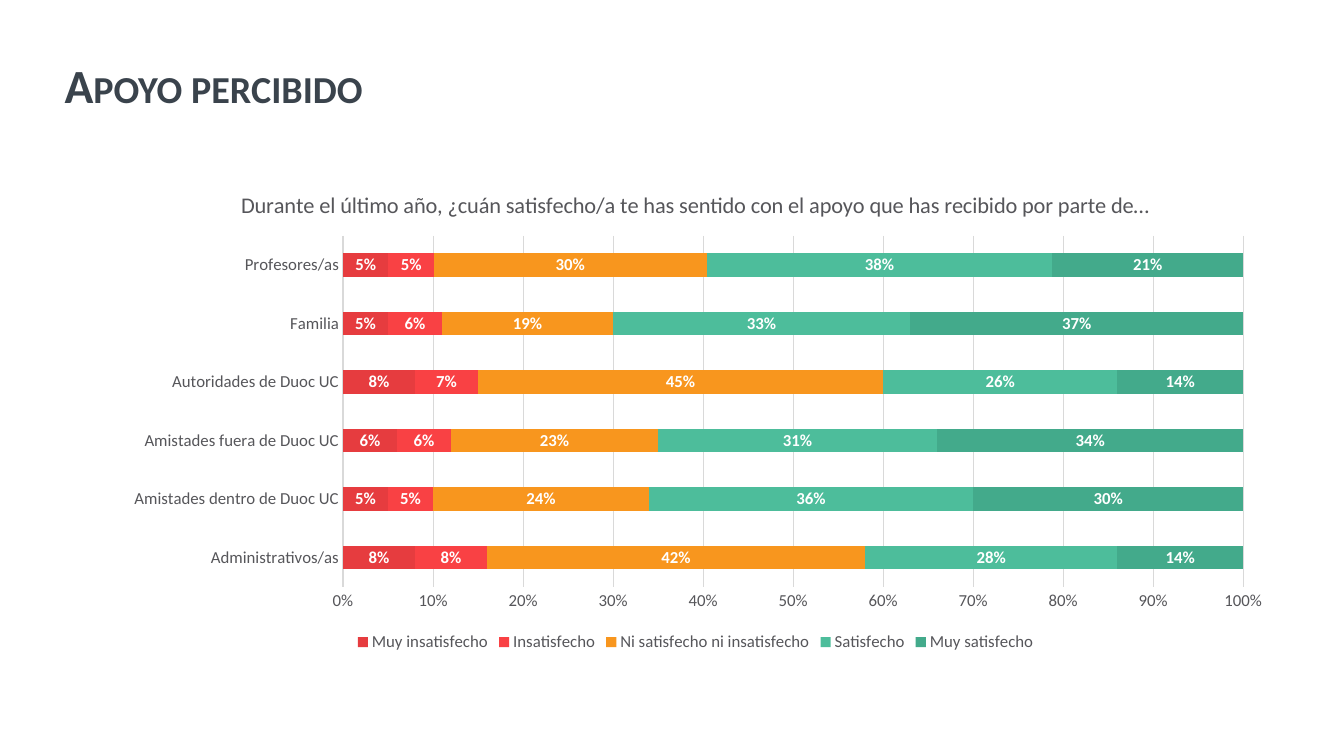
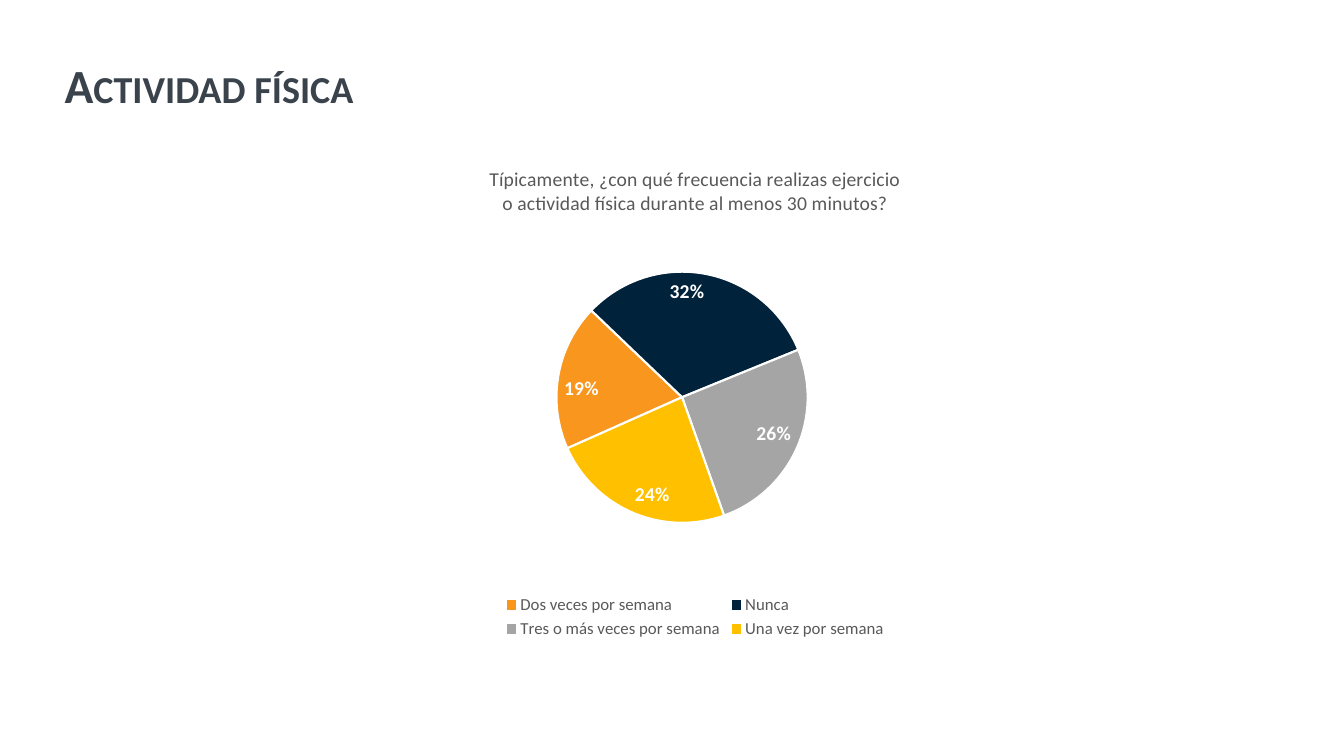
from pptx import Presentation
from pptx.chart.data import CategoryChartData
from pptx.dml.color import RGBColor
from pptx.enum.chart import (
    XL_CHART_TYPE as ChartType,
    XL_LABEL_POSITION as LabelPosition,
    XL_LEGEND_POSITION as LegendPosition,
    XL_TICK_MARK as TickMark,
)
from pptx.enum.text import MSO_ANCHOR as Anchor, MSO_AUTO_SIZE as AutoSize, PP_ALIGN as Align
from pptx.oxml import parse_xml
from pptx.oxml.ns import nsdecls, qn
from pptx.util import Inches, Pt

FONT = "Calibri"
COLORS = {
    "title": "3A434C",
    "text": "56565A",
    "pie_text": "595959",
    "grid": "D9D9D9",
    "white": "FFFFFF",
    "dark_red": "E63C3F",
    "red": "F94144",
    "orange": "F8961E",
    "green": "4DBD9B",
    "dark_green": "43AA8B",
    "navy": "00223A",
    "gray": "A5A5A5",
    "yellow": "FFC000",
}

SOURCES = [
    "Administrativos/as",
    "Amistades dentro de Duoc UC",
    "Amistades fuera de Duoc UC",
    "Autoridades de Duoc UC",
    "Familia",
    "Profesores/as",
]
SATISFACTION = [
    ("Muy insatisfecho", "dark_red", (0.08, 0.05, 0.06, 0.08, 0.05, 0.05)),
    ("Insatisfecho", "red", (0.08, 0.05, 0.06, 0.07, 0.06, 0.05)),
    ("Ni satisfecho ni insatisfecho", "orange", (0.42, 0.24, 0.23, 0.45, 0.19, 0.3)),
    ("Satisfecho", "green", (0.28, 0.36, 0.31, 0.26, 0.33, 0.38)),
    ("Muy satisfecho", "dark_green", (0.14, 0.3, 0.34, 0.14, 0.37, 0.21)),
]
EXERCISE = [
    ("Dos veces por semana", "orange", 0.19),
    ("Nunca", "navy", 0.32),
    ("Tres o más veces por semana", "gray", 0.26),
    ("Una vez por semana", "yellow", 0.24),
]


def rgb(name):
    return RGBColor.from_string(COLORS[name])


def style_font(font, size, color, bold=False):
    font.name = FONT
    font.size = Pt(size)
    font.bold = bold
    font.color.rgb = rgb(color)


def write_text(frame, text, size=12, color="text", bold=False, align=None,
               line_spacing=None, small_caps=False):
    frame.text = text
    paragraph = frame.paragraphs[0]
    if align is not None:
        paragraph.alignment = align
    if line_spacing is not None:
        paragraph.line_spacing = line_spacing
    run = paragraph.runs[0]
    style_font(run.font, size, color, bold)
    if small_caps:
        run._r.get_or_add_rPr().set("cap", "small")


def paint(fill, color):
    fill.solid()
    fill.fore_color.rgb = rgb(color)


def set_line(line, color, width):
    line.color.rgb = rgb(color)
    line.width = Pt(width)


def place_plot(chart, **shares):
    plot_area = chart._chartSpace.chart.plotArea
    for layout in plot_area.findall(qn("c:layout")):
        plot_area.remove(layout)
    sizes = "".join(f'<c:{key} val="{value}"/>' for key, value in shares.items())
    plot_area.insert(0, parse_xml(
        f'<c:layout {nsdecls("c")}><c:manualLayout><c:layoutTarget val="inner"/>'
        f'<c:xMode val="edge"/><c:yMode val="edge"/>{sizes}</c:manualLayout></c:layout>'
    ))


class Deck:
    def __init__(self):
        self.presentation = Presentation()
        self.presentation.slide_width = Inches(13.33)
        self.presentation.slide_height = Inches(7.5)
        self.slide = None

    def box(self, left, top, width, height):
        across = self.presentation.slide_width / 100
        down = self.presentation.slide_height / 100
        return [round(length) for length in
                (left * across, top * down, width * across, height * down)]

    def add_slide(self, title):
        self.slide = self.presentation.slides.add_slide(self.presentation.slide_layouts[5])
        shape = self.slide.shapes.title
        shape.left, shape.top, shape.width, shape.height = self.box(4.05, 5.33, 95.48, 12.53)
        frame = shape.text_frame
        frame.word_wrap = True
        frame.auto_size = AutoSize.NONE
        frame.vertical_anchor = Anchor.MIDDLE
        write_text(frame, title, size=34, color="title", bold=True, align=Align.LEFT,
                   line_spacing=0.9, small_caps=True)

    def add_chart(self, kind, box, categories, series, title, title_size, color):
        data = CategoryChartData(number_format="0%")
        data.categories = categories
        for name, values in series:
            data.add_series(name, values)
        chart = self.slide.shapes.add_chart(kind, *self.box(*box), data).chart
        style_font(chart.font, 12, color)
        chart.has_title = True
        write_text(chart.chart_title.text_frame, title, size=title_size, color=color)
        chart.chart_title.include_in_layout = False
        chart.has_legend = True
        chart.legend.position = LegendPosition.BOTTOM
        chart.legend.include_in_layout = False
        style_font(chart.legend.font, 12, color)
        return chart

    def add_labels(self, plot, size, position):
        plot.has_data_labels = True
        labels = plot.data_labels
        labels.show_value = True
        labels.show_percentage = False
        labels.number_format = "0%"
        labels.number_format_is_linked = False
        labels.position = position
        style_font(labels.font, size, "white", True)

    def add_stacked_bars(self, box, categories, rows, title):
        series = [(name, values) for name, _, values in rows]
        chart = self.add_chart(ChartType.BAR_STACKED_100, box, categories, series,
                               title, 16, "text")
        place_plot(chart, x=0.2, y=0.135, w=0.766, h=0.722)
        plot = chart.plots[0]
        plot.gap_width = 150
        plot.overlap = 100
        plot.vary_by_categories = False
        self.add_labels(plot, 12, LabelPosition.CENTER)
        for bars, (_, color, _) in zip(plot.series, rows):
            paint(bars.format.fill, color)
        for axis in (chart.category_axis, chart.value_axis):
            axis.major_tick_mark = axis.minor_tick_mark = TickMark.NONE
            style_font(axis.tick_labels.font, 12, "text")
        set_line(chart.category_axis.format.line, "grid", 0.75)
        scale = chart.value_axis
        scale.minimum_scale, scale.maximum_scale, scale.major_unit = 0, 1, 0.1
        scale.tick_labels.number_format = "0%"
        scale.tick_labels.number_format_is_linked = False
        scale.format.line.fill.background()
        scale.has_major_gridlines = True
        set_line(scale.major_gridlines.format.line, "grid", 0.75)

    def add_pie(self, box, rows, title, start):
        categories, colors, values = zip(*rows)
        chart = self.add_chart(ChartType.PIE, box, categories, [("Series 1", values)],
                               title, 14, "pie_text")
        place_plot(chart, x=0.244, y=0.223, w=0.464, h=0.565)
        plot = chart.plots[0]
        plot.vary_by_categories = True
        self.add_labels(plot, 14, LabelPosition.INSIDE_END)
        for index, color in enumerate(colors):
            slice_format = plot.series[0].points[index].format
            paint(slice_format.fill, color)
            set_line(slice_format.line, "white", 1.5)
        pie = plot._element
        for angle in pie.findall(qn("c:firstSliceAng")):
            pie.remove(angle)
        pie.append(parse_xml(f'<c:firstSliceAng {nsdecls("c")} val="{start}"/>'))


def main():
    deck = Deck()
    deck.add_slide("Apoyo percibido")
    deck.add_stacked_bars(
        (8.03, 22.53, 87.45, 64.27), SOURCES, SATISFACTION,
        "Durante el último año, ¿cuán satisfecho/a te has sentido con el apoyo "
        "que has recibido por parte de…",
    )
    deck.add_slide("Actividad física")
    deck.add_pie(
        (31.58, 19.33, 40.28, 65.73), EXERCISE,
        "Típicamente, ¿con qué frecuencia realizas ejercicio o actividad física "
        "durante al menos 30 minutos?",
        start=246,
    )
    deck.presentation.save("out.pptx")


if __name__ == "__main__":
    main()
